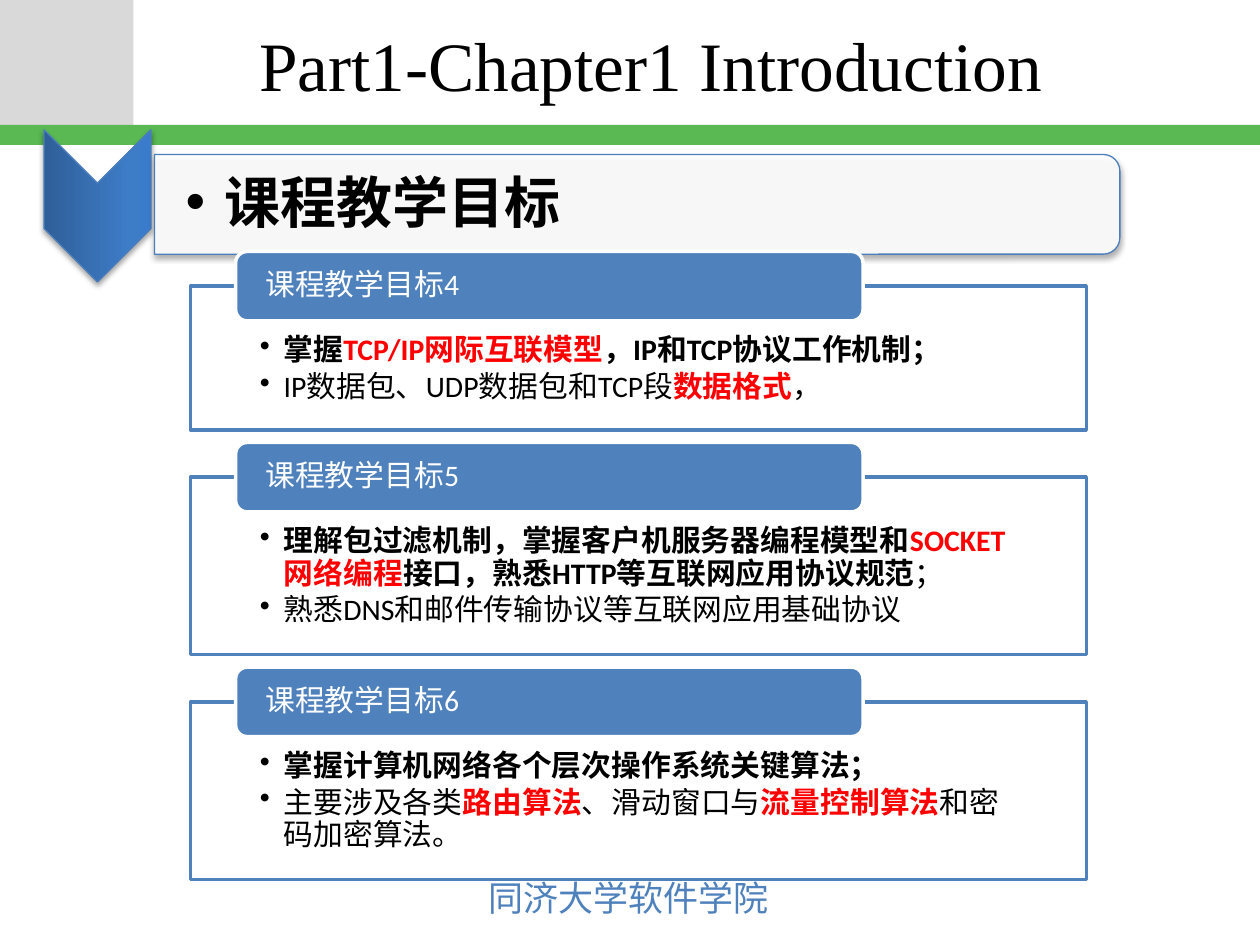
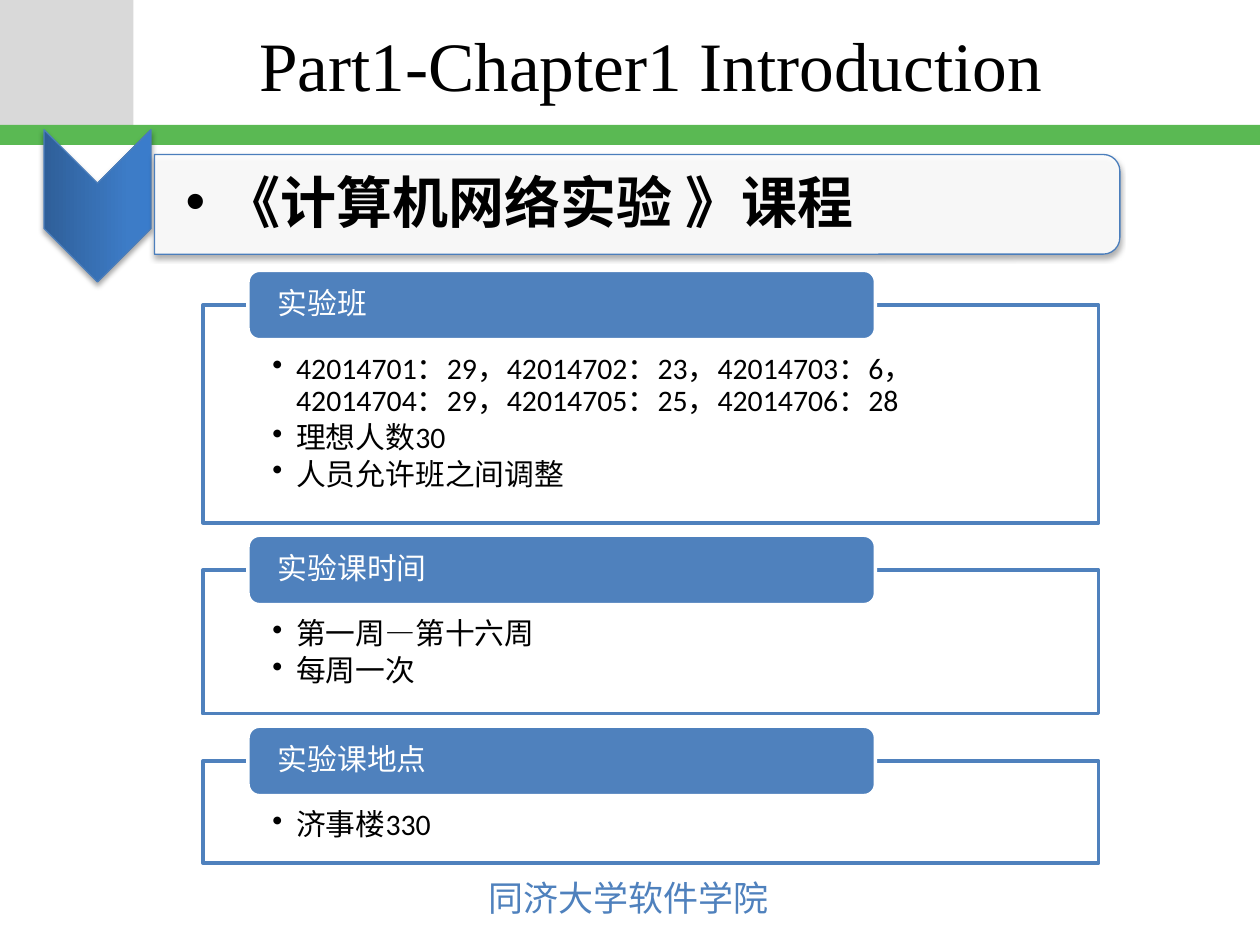
from copy import deepcopy

from lxml import etree
from pptx import Presentation
from pptx import util as u
from pptx.dml.color import RGBColor
from pptx.enum import shapes, text
from pptx.oxml import ns

BLACK, WHITE, RED = "000000", "FFFFFF", "FF0000"
BLUE, EDGE_BLUE = "4F81BD", "4B7EBC"
GREY, GREEN = "D9D9D9", "5AB953"
RUN_STYLES = {"plain": (False, BLACK), "bold": (True, BLACK), "key": (True, RED),
              "label": (False, WHITE), "footer": (False, BLUE)}
CHEVRON_STOPS = [(0, "2F5F99"), (0.8, "3D7CC7"), (1, "3A7CCB")]
TITLE = "Part1-Chapter1 Introduction"
FOOTER = "同济大学软件学院"
GAP = 0.95

SLIDES = [
    {"heading": "课程教学目标", "left": 3.84, "top": 5.77, "sections": [
        ("课程教学目标4", 2.9, [
            [("掌握", "bold"), ("TCP/IP网际互联模型", "key"), ("，IP和TCP协议工作机制；", "bold")],
            [("IP数据包、UDP数据包和TCP段", "plain"), ("数据格式", "key"), ("，", "plain")]]),
        ("课程教学目标5", 3.58, [
            [("理解包过滤机制，掌握客户机服务器编程模型和", "bold"), ("SOCKET网络编程", "key"),
             ("接口，熟悉HTTP等互联网应用协议规范", "bold"), ("；", "plain")],
            [("熟悉DNS和邮件传输协议等互联网应用基础协议", "plain")]]),
        ("课程教学目标6", 3.58, [
            [("掌握计算机网络各个层次操作系统关键算法；", "bold")],
            [("主要涉及各类", "plain"), ("路由算法", "key"), ("、滑动窗口与", "plain"),
             ("流量控制算法", "key"), ("和密码加密算法。", "plain")]])]},
    {"heading": "《计算机网络实验 》课程", "left": 4.09, "top": 6.15, "sections": [
        ("实验班", 4.39, [
            [("42014701：29，42014702：23，42014703：6，"
              "42014704：29，42014705：25，42014706：28", "plain")],
            [("理想人数30", "plain")],
            [("人员允许班之间调整", "plain")]]),
        ("实验课时间", 2.9, [
            [("第一周—第十六周", "plain")],
            [("每周一次", "plain")]]),
        ("实验课地点", 2.06, [
            [("济事楼330", "plain")]])]},
]


def paint(fill, colour, alpha=None):
    fill.solid()
    fill.fore_color.rgb = RGBColor.from_string(colour)
    if alpha:
        colour_element = fill._xPr.find(ns.qn("a:solidFill"))[0]
        etree.SubElement(colour_element, ns.qn("a:alpha"), val=str(alpha * 1000))


def write(shape, paragraphs, size, font="Calibri", align=text.PP_ALIGN.LEFT,
          anchor=text.MSO_ANCHOR.TOP, insets=(0.25, 0.13, 0.25, 0.13),
          indent=0, spacing=1, after=0, wrap=True):
    frame = shape.text_frame
    frame.auto_size = text.MSO_AUTO_SIZE.NONE
    frame.word_wrap = wrap
    frame.vertical_anchor = anchor
    (frame.margin_left, frame.margin_top,
     frame.margin_right, frame.margin_bottom) = map(u.Cm, insets)
    for index, runs in enumerate(paragraphs):
        paragraph = frame.add_paragraph() if index else frame.paragraphs[0]
        if indent:
            properties = paragraph._p.get_or_add_pPr()
            properties.set("marL", str(u.Cm(indent)))
            properties.set("indent", str(-u.Cm(indent)))
            etree.SubElement(properties, ns.qn("a:buChar"), char="•")
        paragraph.alignment = align
        paragraph.line_spacing = spacing
        paragraph.space_before = u.Pt(0)
        paragraph.space_after = u.Pt(size * after)
        for words, style in runs:
            run = paragraph.add_run()
            run.text = words
            run.font.size = u.Pt(size)
            run.font.name = font
            run.font.bold, colour = RUN_STYLES[style]
            paint(run.font.fill, colour)


presentation = Presentation()
presentation.slide_width = u.Cm(25.4)
presentation.slide_height = u.Cm(19.05)

for content in SLIDES:
    slide = presentation.slides.add_slide(presentation.slide_layouts[1])

    for colour, box in [(GREY, (0, 0, 2.69, 2.52)), (GREEN, (0, 2.52, 25.4, 0.4))]:
        band = slide.shapes.add_shape(shapes.MSO_SHAPE.RECTANGLE, *map(u.Cm, box))
        band.shadow.inherit = False
        paint(band.fill, colour)
        band.line.fill.background()

    footer = slide.shapes.add_textbox(u.Cm(9.6), u.Cm(17.53), u.Cm(6.22), u.Cm(1.12))
    write(footer, [[(FOOTER, "footer")]], 20, font="Noto Sans CJK JP", wrap=False)

    title = slide.shapes.title
    title.left, title.top, title.width, title.height = map(u.Cm, (4.42, 0.05, 17.4, 2.49))
    write(title, [[(TITLE, "plain")]], 39.6, font="Times New Roman",
          align=text.PP_ALIGN.CENTER, anchor=text.MSO_ANCHOR.MIDDLE)

    chevron = slide.shapes.add_shape(
        shapes.MSO_SHAPE.CHEVRON, u.Cm(0.43), u.Cm(3.07), u.Cm(3.07), u.Cm(2.16))
    heading_bar = slide.shapes.add_shape(
        shapes.MSO_SHAPE.ROUND_2_SAME_RECTANGLE, u.Cm(11.84), u.Cm(-5.61), u.Cm(2.01), u.Cm(19.46))
    paint(heading_bar.fill, WHITE, alpha=90)
    chevron.fill.gradient()
    chevron.fill.gradient_angle = 90
    stop_list = chevron._element.spPr.find(".//" + ns.qn("a:gsLst"))
    stop_list.append(deepcopy(stop_list[-1]))
    for stop, (position, colour) in zip(chevron.fill.gradient_stops, CHEVRON_STOPS):
        stop.position = position
        stop.color.rgb = RGBColor.from_string(colour)
    for shape in (chevron, heading_bar):
        shape.rotation = 90
        paint(shape.line.fill, EDGE_BLUE)
        shape.line.width = u.Pt(0.75)
        shape.shadow.inherit = False
        effects = shape._element.spPr.find(ns.qn("a:effectLst"))
        shadow = etree.SubElement(
            effects, ns.qn("a:outerShdw"), blurRad=str(u.Pt(3.1)), dist=str(u.Pt(1.8)),
            dir="5400000", rotWithShape="0")
        shadow_colour = etree.SubElement(shadow, ns.qn("a:srgbClr"), val=BLACK)
        etree.SubElement(shadow_colour, ns.qn("a:alpha"), val="35000")

    heading = slide.placeholders[1]
    slide.shapes._spTree.append(heading._element)
    heading.left, heading.top, heading.width, heading.height = map(u.Cm, (3.1, 3.23, 19.38, 1.8))
    write(heading, [[(content["heading"], "bold")]], 32, anchor=text.MSO_ANCHOR.MIDDLE,
          insets=(0.64, 0.05, 0.05, 0.05), indent=0.79, spacing=0.9, after=0.15)

    left, top = content["left"], content["top"]
    for label, height, items in content["sections"]:
        panel = slide.shapes.add_shape(
            shapes.MSO_SHAPE.RECTANGLE, u.Cm(left), u.Cm(top), u.Cm(18.06), u.Cm(height))
        paint(panel.fill, WHITE, alpha=90)
        paint(panel.line.fill, BLUE)
        write(panel, items, 17, insets=(1.4, 0.99, 1.4, 0.33),
              indent=0.48, spacing=0.9, after=0.15)
        tab = slide.shapes.add_shape(
            shapes.MSO_SHAPE.ROUNDED_RECTANGLE,
            u.Cm(left + 0.91), u.Cm(top - 0.7), u.Cm(12.65), u.Cm(1.4))
        paint(tab.fill, BLUE)
        paint(tab.line.fill, WHITE)
        write(tab, [[(label, "label")]], 17, anchor=text.MSO_ANCHOR.MIDDLE,
              insets=(0.53, 0, 0.53, 0), spacing=0.9, after=0.35)
        for shape in (panel, tab):
            shape.line.width = u.Pt(2)
            shape.shadow.inherit = False
        top += height + GAP

presentation.save("out.pptx")
